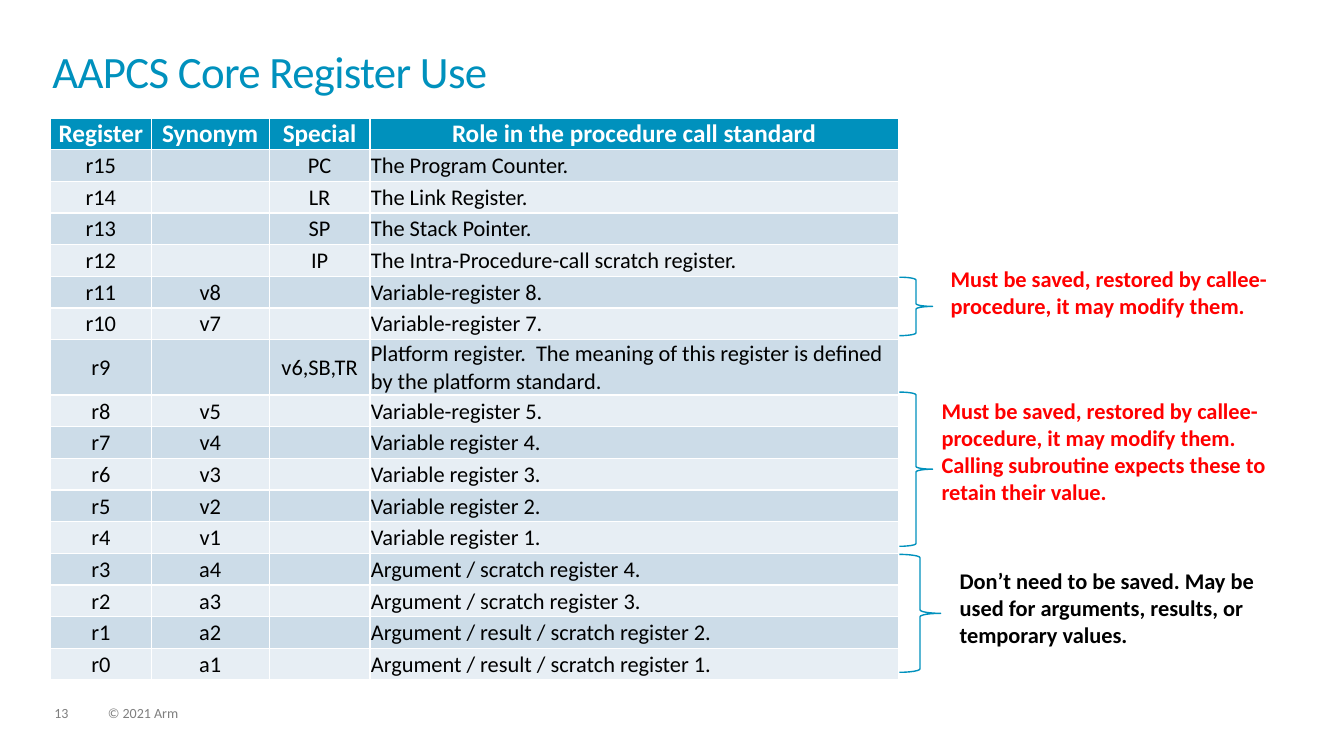
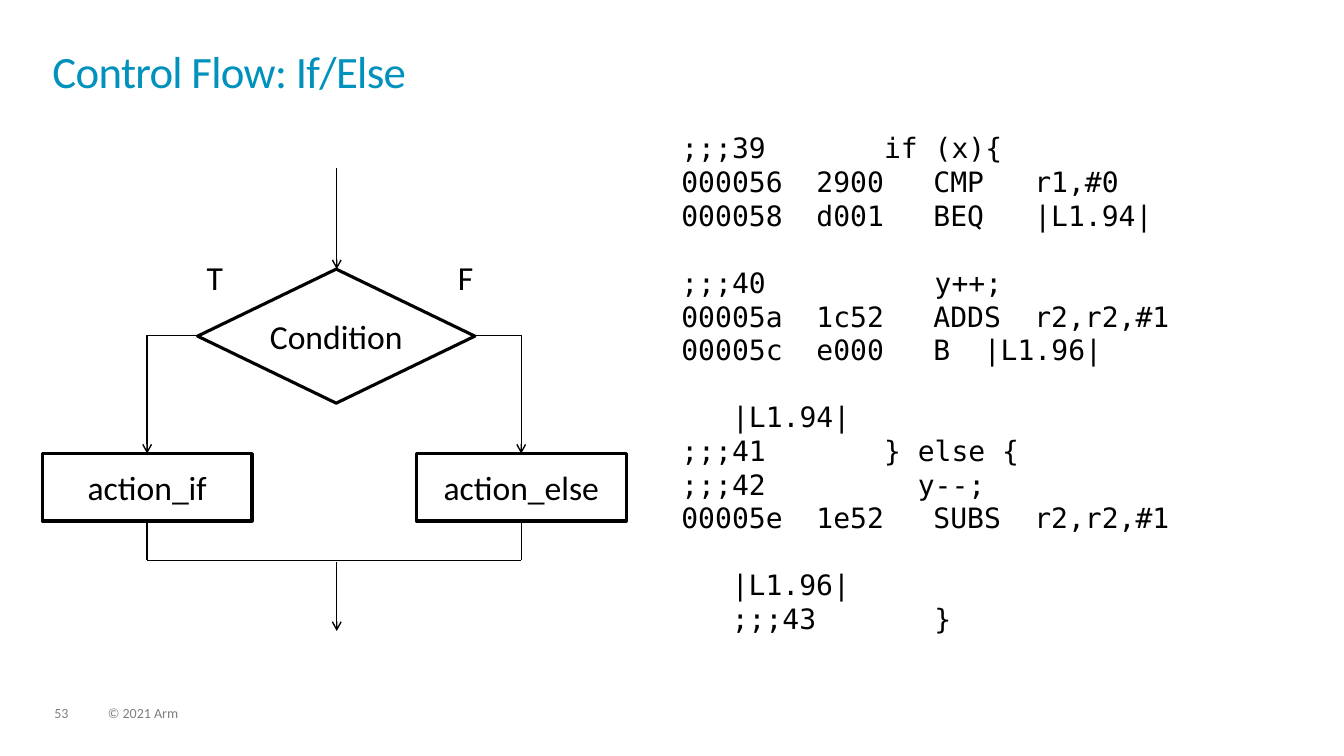
from dataclasses import dataclass

from lxml.etree import SubElement
from pptx import Presentation
from pptx.dml.color import RGBColor
from pptx.enum.shapes import MSO_CONNECTOR as Connector, MSO_SHAPE as Shape
from pptx.enum.text import MSO_ANCHOR as Anchor, PP_ALIGN as Align
from pptx.oxml.ns import qn
from pptx.util import Inches, Pt


@dataclass(frozen=True)
class Theme:
    accent: RGBColor = RGBColor(0x00, 0x91, 0xBD)
    ink: RGBColor = RGBColor(0x00, 0x00, 0x00)
    paper: RGBColor = RGBColor(0xFF, 0xFF, 0xFF)
    warning: RGBColor = RGBColor(0xFF, 0x00, 0x00)
    muted: RGBColor = RGBColor(0x7F, 0x7F, 0x7F)
    bands: tuple = (RGBColor(0xE7, 0xEE, 0xF4), RGBColor(0xCC, 0xDC, 0xE8))
    font: str = "Calibri"
    code_font: str = "DejaVu Sans Mono"
    title_size: int = 32
    diagram_size: int = 24
    code_size: int = 20
    header_size: int = 18
    body_size: int = 16
    footer_size: int = 10
    thin: float = 1
    thick: float = 2.25


theme = Theme()


def write_text(frame, text, size=theme.body_size, color=theme.ink, font=theme.font, bold=False,
               align=Align.LEFT, line_spacing=None, tracking=None, inset=None, wrap=True):
    """Fill a text frame, one paragraph per line of text, and return the paragraphs."""
    frame.word_wrap = wrap
    if inset is not None:
        frame.margin_left = frame.margin_top = frame.margin_right = frame.margin_bottom = Inches(inset)
    for number, line in enumerate(text.split("\n")):
        paragraph = frame.add_paragraph() if number else frame.paragraphs[0]
        paragraph.alignment = align
        paragraph.line_spacing = line_spacing
        run = paragraph.add_run()
        run.text = line
        run.font.name = font
        run.font.size = Pt(size)
        run.font.bold = bold
        run.font.color.rgb = color
        if tracking is not None:
            run.font._element.set("spc", str(round(tracking * 100)))
    return frame.paragraphs


def add_line(shapes, start, end, arrow=False, corner=False):
    """Draw a connector; with corner it runs sideways first, then down."""
    kind = Connector.ELBOW if corner else Connector.STRAIGHT
    line = shapes.add_connector(kind, *map(Inches, (*start, *end)))
    line.line.color.rgb = theme.ink
    line.line.width = Pt(theme.thin)
    properties = line._element.spPr
    if corner:
        properties.find(qn("a:prstGeom")).set("prst", "bentConnector2")
    if arrow:
        SubElement(properties.find(qn("a:ln")), qn("a:tailEnd"), type="arrow")
    SubElement(properties, qn("a:effectLst"))


presentation = Presentation()
presentation.slide_width = Inches(13.33)
presentation.slide_height = Inches(7.5)
blank_layout = presentation.slide_layouts[6]

# Slides with their shared title and footer
slides = []
for title, number in (("AAPCS Core Register Use", "13"), ("Control Flow: If/Else", "53")):
    slide = presentation.slides.add_slide(blank_layout)
    slides.append(slide)
    for left, width, text in ((0.54, 0.34, number), (1.07, 5.07, "© 2021 Arm")):
        footer = slide.shapes.add_textbox(*map(Inches, (left, 7.01, width, 0.15)))
        write_text(footer.text_frame, text, size=theme.footer_size, color=theme.muted,
                   line_spacing=0.9, inset=0)
    title_box = slide.shapes.add_textbox(*map(Inches, (0.52, 0.52, 12.28, 0.72)))
    write_text(title_box.text_frame, title, size=theme.title_size, color=theme.accent,
               line_spacing=0.85, tracking=-0.5, inset=0)
register_slide, flow_slide = slides

# Register table
registers = (
    ("Register", "Synonym", "Special", "Role in the procedure call standard"),
    ("r15", "", "PC", "The Program Counter."),
    ("r14", "", "LR", "The Link Register."),
    ("r13", "", "SP", "The Stack Pointer."),
    ("r12", "", "IP", "The Intra-Procedure-call scratch register."),
    ("r11", "v8", "", "Variable-register 8."),
    ("r10", "v7", "", "Variable-register 7."),
    ("r9", "", "v6,SB,TR", "Platform register.  The meaning of this register is defined "
                           "by the platform standard."),
    ("r8", "v5", "", "Variable-register 5."),
    ("r7", "v4", "", "Variable register 4."),
    ("r6", "v3", "", "Variable register 3."),
    ("r5", "v2", "", "Variable register 2."),
    ("r4", "v1", "", "Variable register 1."),
    ("r3", "a4", "", "Argument / scratch register 4."),
    ("r2", "a3", "", "Argument / scratch register 3."),
    ("r1", "a2", "", "Argument / result / scratch register 2."),
    ("r0", "a1", "", "Argument / result / scratch register 1."),
)
column_widths = (1, 1.17, 1, 5.24)
table_height, tall_row_height = 5.58, 0.55
row_height = (table_height - tall_row_height) / (len(registers) - 1)
table = register_slide.shapes.add_table(
    len(registers), len(column_widths),
    *map(Inches, (0.5, 1.17, sum(column_widths), table_height))).table
table.horz_banding = False
for column, width in zip(table.columns, column_widths):
    column.width = Inches(width)
for row_index, entries in enumerate(registers):
    is_header = row_index == 0
    table.rows[row_index].height = Inches(tall_row_height if entries[0] == "r9" else row_height)
    for column_index, entry in enumerate(entries):
        cell = table.cell(row_index, column_index)
        cell.margin_left = cell.margin_top = cell.margin_right = Inches(0.01)
        cell.margin_bottom = 0
        cell.vertical_anchor = Anchor.MIDDLE
        cell.fill.solid()
        cell.fill.fore_color.rgb = theme.accent if is_header else theme.bands[row_index % 2]
        is_role = column_index == len(entries) - 1
        write_text(cell.text_frame, entry,
                   size=theme.header_size if is_header else theme.body_size,
                   color=theme.paper if is_header else theme.ink, bold=is_header,
                   align=Align.LEFT if is_role and not is_header else Align.CENTER)

# Braces and notes beside the table
saved_note = "Must be saved, restored by callee-procedure, it may modify them."
brace_notes = (
    ((8.92, 2.75, 0.33, 0.58), (9.33, 2.58, 3.5, 0.64), theme.warning, saved_note),
    ((8.92, 3.89, 0.33, 1.53), (9.24, 3.89, 3.58, 1.18), theme.warning,
     saved_note + "\nCalling subroutine expects these to retain their value."),
    ((8.92, 5.5, 0.41, 1.17), (9.42, 5.58, 3.5, 0.91), theme.ink,
     "Don’t need to be saved. May be used for arguments, results, or temporary values."),
)
for brace_box, note_box, color, text in brace_notes:
    brace = register_slide.shapes.add_shape(Shape.RIGHT_BRACE, *map(Inches, brace_box))
    brace.shadow.inherit = False
    brace.fill.background()
    brace.line.color.rgb = theme.accent
    brace.line.width = Pt(theme.thin)
    note = register_slide.shapes.add_textbox(*map(Inches, note_box))
    write_text(note.text_frame, text, color=color, bold=True)

# Assembly listing: each block has an indent and its lines
code_blocks = (
    (0, (";;;39       if (x){",
         "000056  2900\tCMP\tr1,#0",
         "000058  d001\tBEQ\t|L1.94|")),
    (0, (";;;40          y++;",
         "00005a  1c52 \tADDS \tr2,r2,#1",
         "00005c  e000 \tB\t|L1.96|")),
    (0, ("   |L1.94|",
         ";;;41       } else {",
         ";;;42         y--;",
         "00005e  1e52 \tSUBS\tr2,r2,#1")),
    (0.5, ("|L1.96|",
           ";;;43       }")),
)
listing = flow_slide.shapes.add_textbox(*map(Inches, (6.66, 1.25, 6.63, 5.15)))
paragraphs = iter(write_text(
    listing.text_frame, "\n".join(line for _, lines in code_blocks for line in lines),
    size=theme.code_size, font=theme.code_font))
for block_index, (indent, lines) in enumerate(code_blocks):
    for line_index, _ in enumerate(lines):
        paragraph = next(paragraphs)
        if block_index and line_index == 0:
            paragraph.space_before = Pt(theme.code_size * 1.2)
        properties = paragraph._p.get_or_add_pPr()
        properties.set("marL", str(Inches(indent)))
        properties.set("indent", "0")
        tab_list = SubElement(properties, qn("a:tabLst"))
        for position in (2.19, 3.07):
            SubElement(tab_list, qn("a:tab"), pos=str(Inches(position)), algn="l")

# Flowchart
flowchart = flow_slide.shapes.add_group_shape().shapes
center, condition_middle, action_top, action_bottom, join_level = 3.34, 3.33, 4.5, 5.17, 5.56
nodes = (
    (Shape.DIAMOND, (1.96, 2.67, 2.75, 1.33), "Condition"),
    (Shape.RECTANGLE, (0.42, action_top, 2.08, 0.67), "action_if"),
    (Shape.RECTANGLE, (4.13, action_top, 2.08, 0.67), "action_else"),
)
for kind, box, text in nodes:
    node = flowchart.add_shape(kind, *map(Inches, box))
    node.shadow.inherit = False
    node.fill.background()
    node.line.color.rgb = theme.ink
    node.line.width = Pt(theme.thick)
    node.text_frame.vertical_anchor = Anchor.MIDDLE
    write_text(node.text_frame, text, size=theme.diagram_size, align=Align.CENTER, inset=0)

branches = (("T", 2.05, 1.96, 1.46), ("F", 4.54, 4.71, 5.17))
for text, label_left, condition_edge, branch_x in branches:
    add_line(flowchart, (condition_edge, condition_middle), (branch_x, action_top),
             arrow=True, corner=True)
    add_line(flowchart, (branch_x, action_bottom), (branch_x, join_level))
    add_line(flowchart, (branch_x, join_level), (center, join_level))
    label = flowchart.add_textbox(*map(Inches, (label_left, 2.55, 0.31, 0.42)))
    write_text(label.text_frame, text, size=theme.diagram_size, inset=0, wrap=False)
for top, bottom in ((1.67, 2.67), (5.58, 6.26)):
    add_line(flowchart, (center, top), (center, bottom), arrow=True)

presentation.save("out.pptx")
